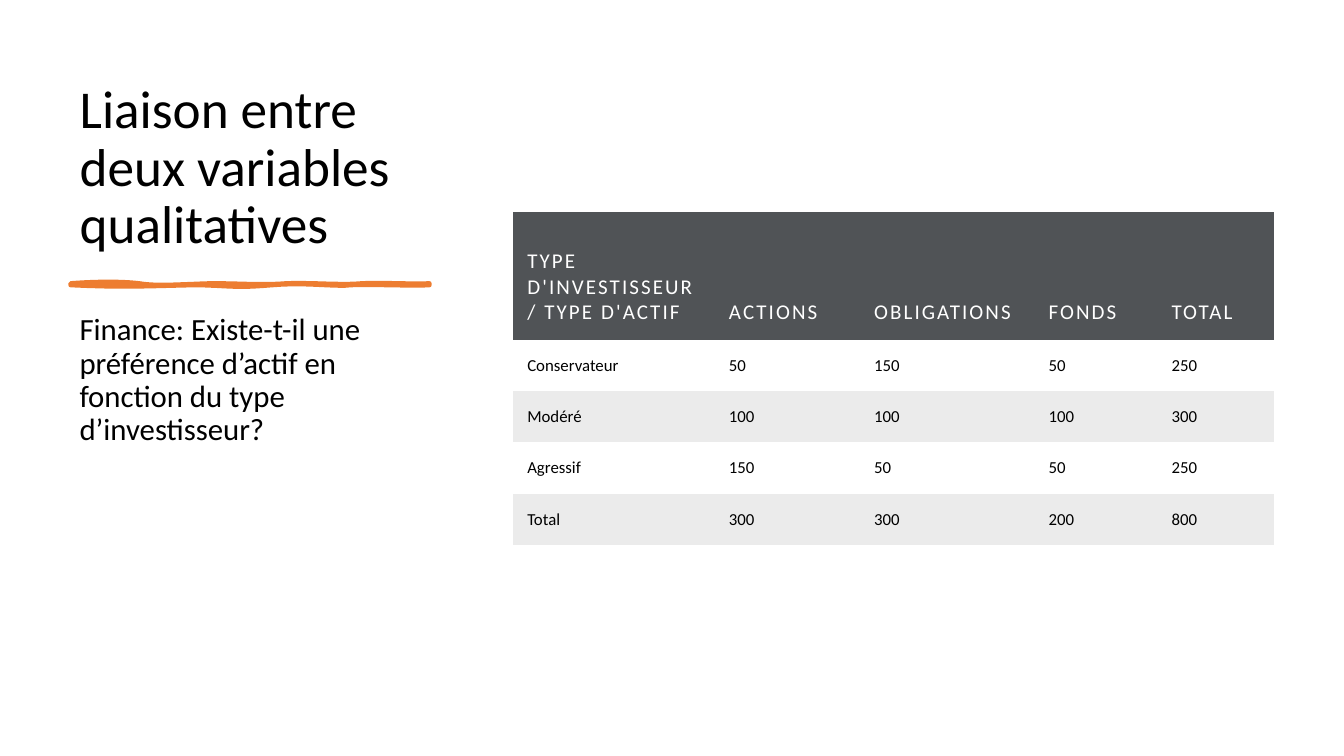
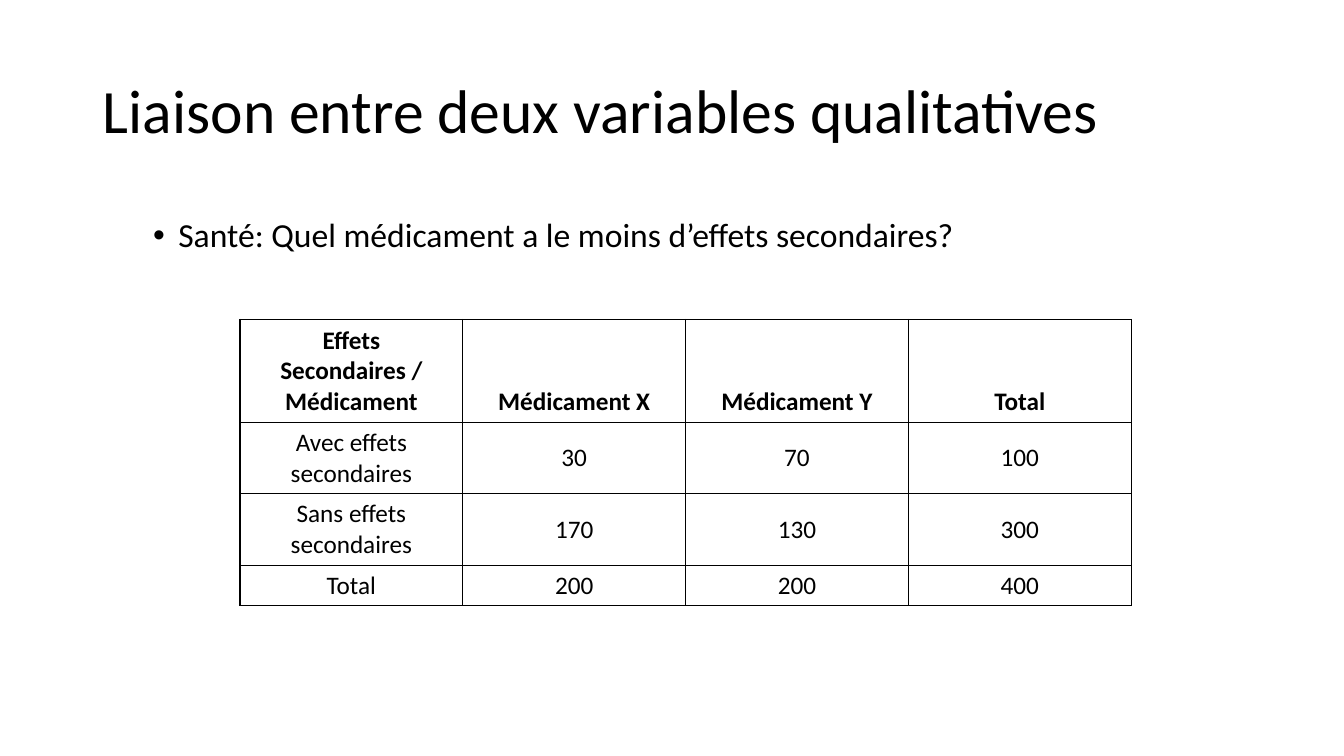
from dataclasses import dataclass
from typing import Optional

from lxml.etree import SubElement
from pptx import Presentation
from pptx.dml.color import RGBColor
from pptx.enum.text import MSO_ANCHOR as Anchor, MSO_AUTO_SIZE as Fit, PP_ALIGN as Align
from pptx.oxml.ns import qn
from pptx.util import Inches, Pt

FONT = "Calibri"
COLORS = {"ink": "000000", "paper": "FFFFFF", "wave": "ED7D31", "head": "505356", "band": "EBEBEB"}
TITLE = "Liaison entre deux variables qualitatives"
SIDES = ("lnL", "lnR", "lnT", "lnB")


@dataclass
class Box:
    left: float
    top: float
    width: float
    height: float

    def spots(self) -> list:
        return [Inches(v) for v in (self.left, self.top, self.width, self.height)]


@dataclass
class Look:
    size: float
    color: str = "ink"
    fill: Optional[str] = None
    bold: bool = False
    track: int = 0
    anchor: Anchor = Anchor.MIDDLE


@dataclass
class Grid:
    left: float
    top: float
    cols: list
    rows: list
    cells: list
    head: Look
    body: Look
    band: Optional[str] = None
    inset: Optional[float] = None
    border: Optional[str] = None
    align: Align = Align.LEFT


def rgb(name: str) -> RGBColor:
    return RGBColor.from_string(COLORS[name])


def put(frame, text: str, size: float, color: str = "ink", bold: bool = False,
        align: Align = Align.LEFT, track: int = 0, lead: float = 1.0, bullet: bool = False) -> None:
    para = frame.paragraphs[0]
    para.alignment = align
    para.line_spacing = lead
    if bullet:
        props = para._p.get_or_add_pPr()
        props.set("marL", str(Inches(0.75)))
        props.set("indent", str(Inches(-0.25)))
        SubElement(props, qn("a:buFont"), typeface="Arial")
        SubElement(props, qn("a:buChar"), char="•")
    run = para.add_run()
    run.text = text
    run.font.name = FONT
    run.font.size = Pt(size)
    run.font.bold = bold
    run.font.color.rgb = rgb(color)
    if track:
        run._r.get_or_add_rPr().set("spc", str(track))


def add_page(deck, box: Box, size: float, anchor: Anchor):
    page = deck.slides.add_slide(deck.slide_layouts[5])
    title = page.shapes.title
    title.left, title.top, title.width, title.height = box.spots()
    frame = title.text_frame
    frame.auto_size = Fit.NONE
    frame.word_wrap = True
    frame.vertical_anchor = anchor
    put(frame, TITLE, size, lead=0.9)
    return page


def add_note(page, box: Box, text: str, size: float, bullet: bool = False) -> None:
    frame = page.shapes.add_textbox(*box.spots()).text_frame
    frame.word_wrap = True
    put(frame, text, size, lead=0.9, bullet=bullet)


def edge(cell, color: Optional[str]) -> None:
    props = cell._tc.get_or_add_tcPr()
    for side in SIDES:
        line = SubElement(props, qn(f"a:{side}"), w=str(Pt(1)))
        if color:
            fill = SubElement(line, qn("a:solidFill"))
            SubElement(fill, qn("a:srgbClr"), val=COLORS[color])
        else:
            SubElement(line, qn("a:noFill"))


def add_grid(page, grid: Grid) -> None:
    box = Box(grid.left, grid.top, sum(grid.cols), sum(grid.rows))
    table = page.shapes.add_table(len(grid.rows), len(grid.cols), *box.spots()).table
    table.first_row = table.horz_banding = False
    for col, width in zip(table.columns, grid.cols):
        col.width = Inches(width)
    for row, height in zip(table.rows, grid.rows):
        row.height = Inches(height)
    for i, texts in enumerate(grid.cells):
        look = grid.body if i else grid.head
        fill = grid.band if i and i % 2 == 0 else look.fill
        for j, text in enumerate(texts):
            cell = table.cell(i, j)
            edge(cell, grid.border)
            if fill:
                cell.fill.solid()
                cell.fill.fore_color.rgb = rgb(fill)
            else:
                cell.fill.background()
            if grid.inset:
                cell.margin_left = cell.margin_right = Inches(grid.inset)
                cell.margin_top = cell.margin_bottom = Inches(grid.inset)
            cell.vertical_anchor = look.anchor
            put(cell.text_frame, text, look.size, color=look.color, bold=look.bold,
                align=grid.align, track=look.track)


def bend(start: tuple, curve: tuple, steps: int = 10) -> list:
    a, b, c, d = start, curve[:2], curve[2:4], curve[4:]
    dots = []
    for k in range(1, steps + 1):
        t = k / steps
        u = 1 - t
        dots.append(tuple(u**3 * p + 3 * u * u * t * q + 3 * u * t * t * r + t**3 * s
                          for p, q, r, s in zip(a, b, c, d)))
    return dots


def add_wave(page, start: tuple, curves: list) -> None:
    dots = [start]
    for curve in curves:
        dots += bend(dots[-1], curve)
    first, *rest = [(Inches(x), Inches(y)) for x, y in dots]
    path = page.shapes.build_freeform(*first)
    path.add_line_segments(rest, close=True)
    wave = path.convert_to_shape()
    wave.shadow.inherit = False
    wave.fill.solid()
    wave.fill.fore_color.rgb = rgb("wave")
    wave.line.color.rgb = rgb("wave")
    wave.line.width = Pt(3)


WAVE = [
    (0.97, 2.79, 1.21, 2.79, 1.38, 2.81), (1.55, 2.84, 1.77, 2.82, 2.09, 2.81),
    (2.41, 2.81, 2.6, 2.83, 2.84, 2.81), (3.08, 2.8, 3.39, 2.83, 3.59, 2.81),
    (3.79, 2.8, 4.12, 2.82, 4.26, 2.81), (4.26, 2.82, 4.26, 2.83, 4.26, 2.83),
    (4.08, 2.84, 3.64, 2.82, 3.48, 2.83), (3.32, 2.85, 3.04, 2.8, 2.7, 2.83),
    (2.35, 2.86, 2.31, 2.84, 1.99, 2.83), (1.66, 2.83, 1.32, 2.86, 0.7, 2.83),
]
ASSETS = Grid(
    5.09, 2.1, [2, 1.44, 1.73, 1.22, 1.16], [1.27] + [0.51] * 4,
    [
        ["TYPE D'INVESTISSEUR / TYPE D'ACTIF", "ACTIONS", "OBLIGATIONS", "FONDS", "TOTAL"],
        ["Conservateur", "50", "150", "50", "250"],
        ["Modéré", "100", "100", "100", "300"],
        ["Agressif", "150", "50", "50", "250"],
        ["Total", "300", "300", "200", "800"],
    ],
    head=Look(15, "paper", "head", track=150, anchor=Anchor.BOTTOM),
    body=Look(12), band="band", inset=0.14,
)
DRUGS = Grid(
    2.38, 3.17, [2.21] * 4, [1.02, 0.71, 0.71, 0.4],
    [
        ["Effets Secondaires / Médicament", "Médicament X", "Médicament Y", "Total"],
        ["Avec effets secondaires", "30", "70", "100"],
        ["Sans effets secondaires", "170", "130", "300"],
        ["Total", "200", "200", "400"],
    ],
    head=Look(18, bold=True, anchor=Anchor.BOTTOM),
    body=Look(18), border="ink", align=Align.CENTER,
)


def main() -> None:
    deck = Presentation()
    deck.slide_width, deck.slide_height = Inches(13.33), Inches(7.5)

    page = add_page(deck, Box(0.69, 0.7, 3.75, 1.88), 38, Anchor.BOTTOM)
    add_wave(page, (0.7, 2.81), WAVE)
    add_note(page, Box(0.69, 3.07, 3.75, 3.73),
             "Finance: Existe-t-il une préférence d’actif en fonction du type d’investisseur?", 22)
    add_grid(page, ASSETS)

    page = add_page(deck, Box(0.92, 0.4, 11.5, 1.45), 44, Anchor.MIDDLE)
    add_note(page, Box(0.92, 2.12, 11.5, 4.28),
             "Santé: Quel médicament a le moins d’effets secondaires?", 24, bullet=True)
    add_grid(page, DRUGS)

    deck.save("out.pptx")


main()
